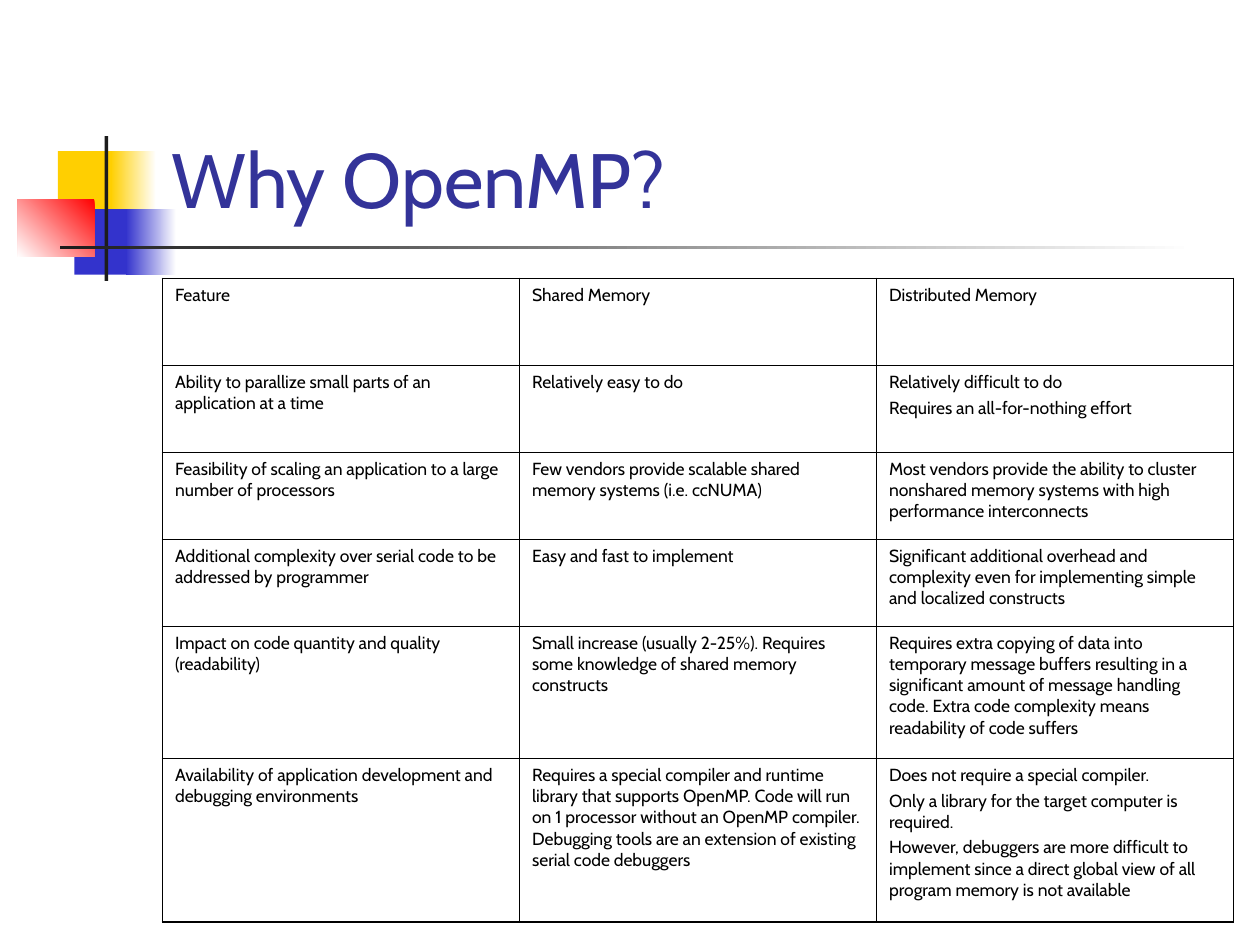
from lxml import etree
from pptx import Presentation
from pptx.dml.color import RGBColor
from pptx.enum.shapes import MSO_SHAPE
from pptx.enum.text import MSO_ANCHOR, MSO_AUTO_SIZE, PP_ALIGN
from pptx.oxml.ns import qn
from pptx.util import Inches, Pt

RECTANGLE = MSO_SHAPE.RECTANGLE
BOTTOM = MSO_ANCHOR.BOTTOM
TOP = MSO_ANCHOR.TOP
LEFT = PP_ALIGN.LEFT
NO_FIT = MSO_AUTO_SIZE.NONE
TITLE_ONLY = 5

FONT = "Cabin"
WHITE, BLACK, CHARCOAL = "FFFFFF", "000000", "1C1C1C"
YELLOW, BLUE, RED, NAVY = "FFCF01", "3333CC", "FF0000", "333399"
OUTER_LINE, INNER_LINE = 1.08, 0.45

# Decoration: left, top, width, height, fill (one colour, or two colours and an angle)
DECORATION = [
    (0.46, 1.2, 0.48, 0.52, YELLOW),
    (0.88, 1.2, 0.36, 0.52, (WHITE, YELLOW, 180)),
    (0.59, 1.66, 0.46, 0.52, BLUE),
    (1, 1.66, 0.4, 0.52, (WHITE, BLUE, 180)),
    (0.14, 1.58, 0.61, 0.46, (RED, WHITE, 225)),
    (0.83, 1.08, 0.03, 1.15, CHARCOAL),
    (0.48, 1.95, 9, 0.03, (WHITE, CHARCOAL, 180)),
]

# Table rows: each cell is a list of paragraphs
ROW_HEIGHTS = [0.69] * 4 + [1.05, 1.3]
COMPARISON = [
    [["Feature"], ["Shared Memory"], ["Distributed Memory"]],
    [["Ability to parallize small parts of an application at a time"],
     ["Relatively easy to do"],
     ["Relatively difficult to do", "Requires an all-for-nothing effort"]],
    [["Feasibility of scaling an application to a large number of processors"],
     ["Few vendors provide scalable shared memory systems (i.e. ccNUMA)"],
     ["Most vendors provide the ability to cluster nonshared memory systems "
      "with high performance interconnects"]],
    [["Additional complexity over serial code to be addressed by programmer"],
     ["Easy and fast to implement"],
     ["Significant additional overhead and complexity even for implementing "
      "simple and localized constructs"]],
    [["Impact on code quantity and quality (readability)"],
     ["Small increase (usually 2-25%). Requires some knowledge of shared "
      "memory constructs"],
     ["Requires extra copying of data into temporary message buffers resulting "
      "in a significant amount of message handling code. Extra code complexity "
      "means readability of code suffers"]],
    [["Availability of application development and debugging environments"],
     ["Requires a special compiler and runtime library that supports OpenMP. "
      "Code will run on 1 processor without an OpenMP compiler. Debugging tools "
      "are an extension of existing serial code debuggers"],
     ["Does not require a special compiler.",
      "Only a library for the target computer is required.",
      "However, debuggers are more difficult to implement since a direct global "
      "view of all program memory is not available"]],
]


def color(value):
    return RGBColor.from_string(value)


def apply(target, values):
    for name, value in values.items():
        setattr(target, name, value)


class SlideBuilder:
    """Holds the text style and the current slide."""

    def __init__(self, page, font):
        self.page = page
        self.font = font

    def add_text(self, frame, paragraphs, size, ink, gap=0):
        for index, text in enumerate(paragraphs):
            para = frame.add_paragraph() if index else frame.paragraphs[0]
            para.alignment = LEFT
            para.space_before = Pt(gap if index else 0)
            span = para.add_run()
            span.text = text
            apply(span.font, {"name": self.font, "size": Pt(size)})
            span.font.color.rgb = color(ink)

    def title(self, text, left, top, width, height):
        box = self.page.shapes.title
        apply(box, {"left": Inches(left), "top": Inches(top),
                    "width": Inches(width), "height": Inches(height)})
        apply(box.text_frame, {"vertical_anchor": BOTTOM, "word_wrap": True,
                               "auto_size": NO_FIT})
        self.add_text(box.text_frame, [text], 44, NAVY)

    def block(self, left, top, width, height, paint):
        shape = self.page.shapes.add_shape(
            RECTANGLE, Inches(left), Inches(top), Inches(width), Inches(height))
        shape.shadow.inherit = False
        shape.line.fill.background()
        if isinstance(paint, str):
            shape.fill.solid()
            shape.fill.fore_color.rgb = color(paint)
            return
        *stops, angle = paint
        shape.fill.gradient()
        shape.fill.gradient_angle = angle
        for stop, shade in zip(shape.fill.gradient_stops, stops):
            stop.color.rgb = color(shade)

    def border(self, cell, side, width):
        properties = cell._tc.get_or_add_tcPr()
        line = etree.SubElement(properties, qn(f"a:ln{side}"), w=str(Pt(width)))
        fill = etree.SubElement(line, qn("a:solidFill"))
        etree.SubElement(fill, qn("a:srgbClr"), val=BLACK)

    def table(self, rows, heights, left, top, width):
        row_count, column_count = len(rows), len(rows[0])
        grid = self.page.shapes.add_table(
            row_count, column_count, Inches(left), Inches(top),
            Inches(width), Inches(sum(heights))).table
        apply(grid, {"first_row": False, "horz_banding": False})
        for column in grid.columns:
            column.width = Inches(width / column_count)
        for r, (row, height) in enumerate(zip(rows, heights)):
            grid.rows[r].height = Inches(height)
            for c, paragraphs in enumerate(row):
                cell = grid.cell(r, c)
                outer = {"L": c == 0, "R": c == column_count - 1,
                         "T": r == 0, "B": r == row_count - 1}
                for side, is_outer in outer.items():
                    self.border(cell, side, OUTER_LINE if is_outer else INNER_LINE)
                cell.fill.background()
                cell.vertical_anchor = TOP
                self.add_text(cell.text_frame, paragraphs, 10, BLACK, gap=2.5)


def main():
    deck = Presentation()
    apply(deck, {"slide_width": Inches(10), "slide_height": Inches(7.5)})
    page = deck.slides.add_slide(deck.slide_layouts[TITLE_ONLY])
    builder = SlideBuilder(page, FONT)

    # Coloured blocks and rules beside the title
    for block in DECORATION:
        builder.block(*block)

    # Title and comparison table
    builder.title("Why OpenMP?", 1.26, 0.23, 8.52, 1.6)
    builder.table(COMPARISON, ROW_HEIGHTS, 1.29, 2.21, 8.5)

    deck.save("out.pptx")


if __name__ == "__main__":
    main()
